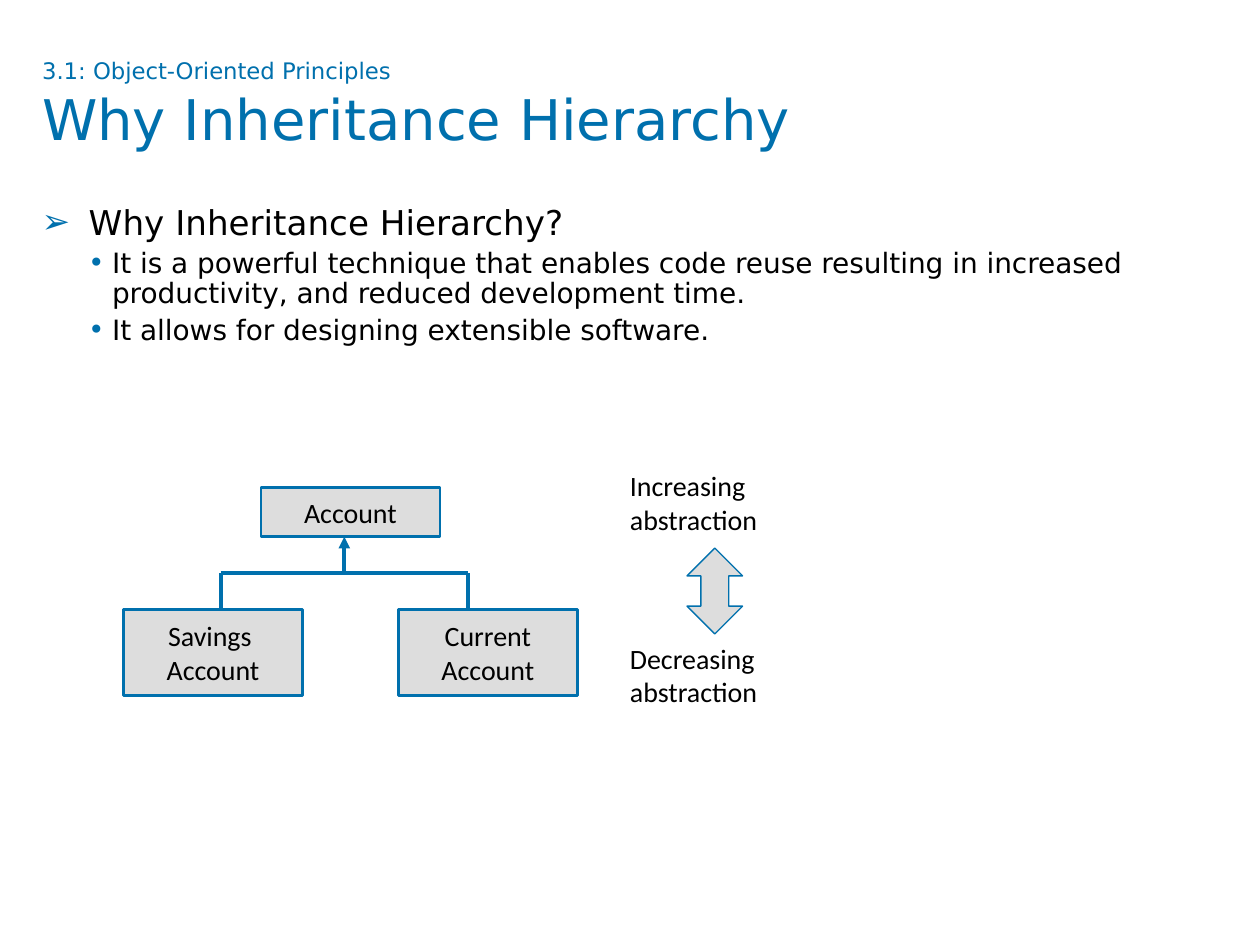
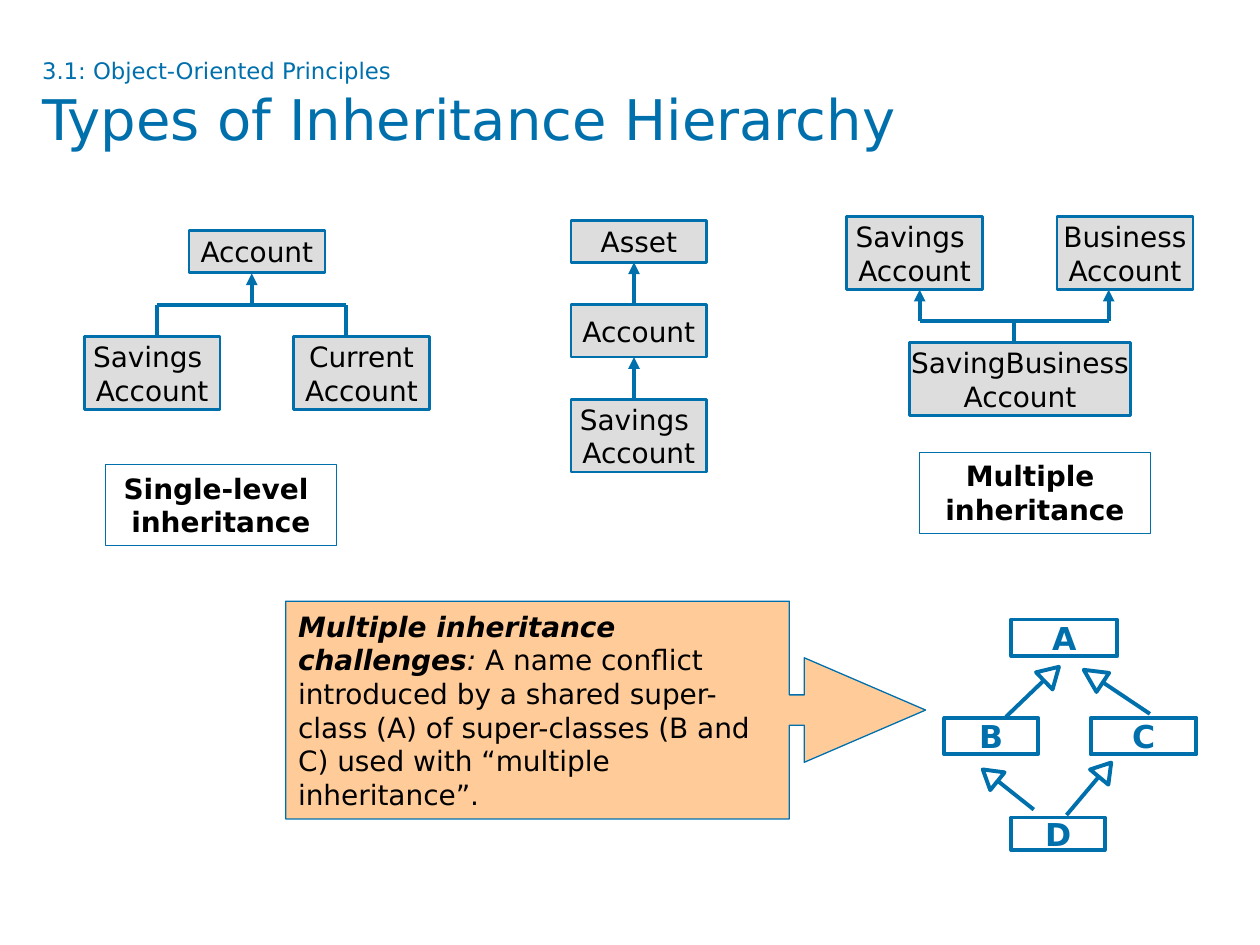
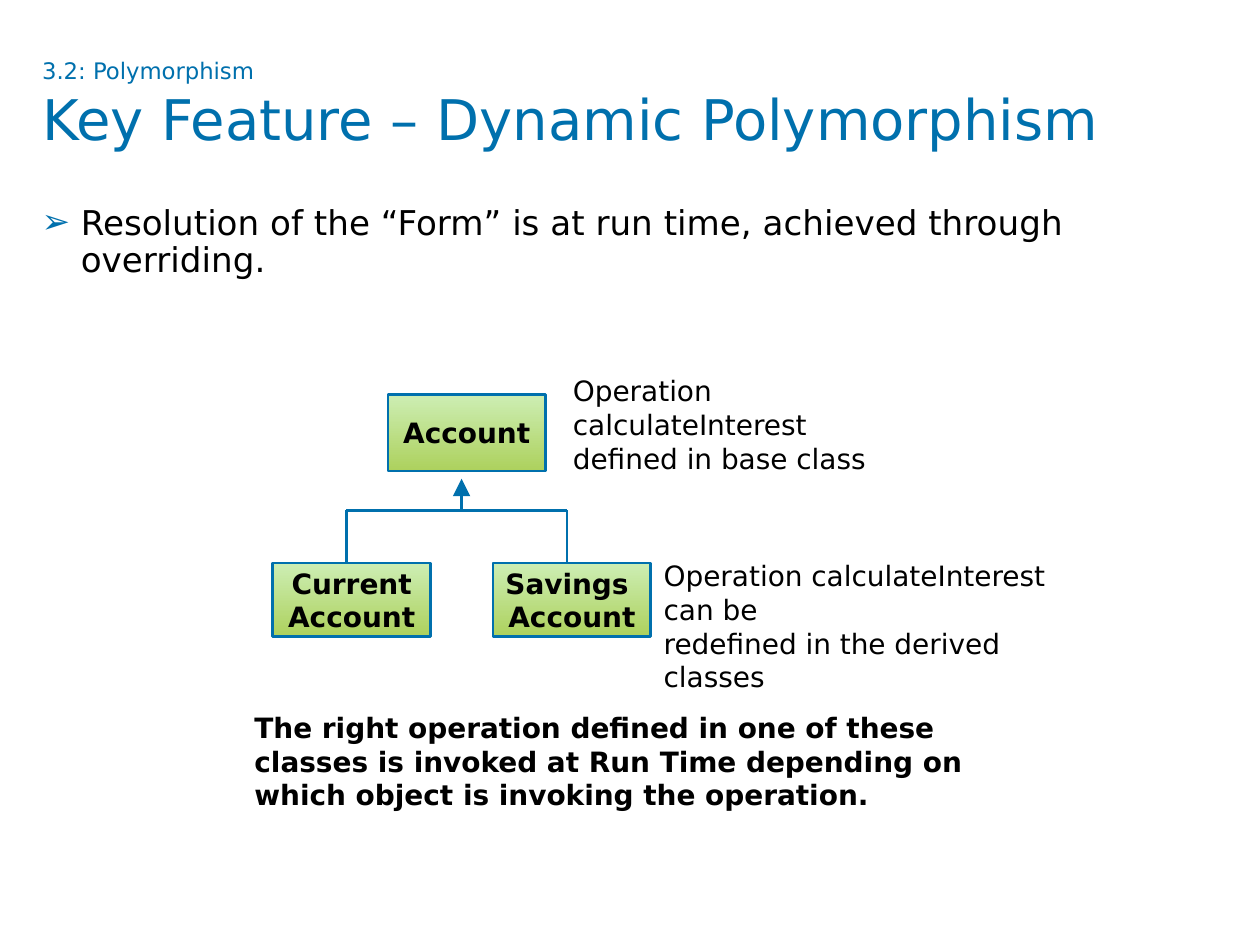
from dataclasses import dataclass, replace

from lxml import etree
from pptx import Presentation
from pptx import util as u
from pptx.dml.color import RGBColor
from pptx.enum import shapes, text
from pptx.oxml import ns

BLUE = RGBColor(0x00, 0x70, 0xAD)
BLACK = RGBColor(0x00, 0x00, 0x00)
WHITE = RGBColor(0xFF, 0xFF, 0xFF)
GREY = RGBColor(0xDD, 0xDD, 0xDD)
PEACH = RGBColor(0xFF, 0xCC, 0x99)
GREENS = (RGBColor(0xCD, 0xEE, 0xB4), RGBColor(0xAD, 0xD1, 0x5D))
SANS = "DejaVu Sans"
SHAPE = shapes.MSO_SHAPE
LEFT = text.PP_ALIGN.LEFT
CENTER = text.PP_ALIGN.CENTER
MIDDLE = text.MSO_ANCHOR.MIDDLE


@dataclass(frozen=True)
class Style:
    fill: object = None
    line: float = 1.5
    font: str = SANS
    size: float = 16
    color: RGBColor = BLACK
    bold: bool = False
    align: object = CENTER
    anchor: object = MIDDLE
    wrap: bool = False
    insets: tuple = (0.25, 0.13)
    grow: bool = False


CLASS_BOX = Style(fill=GREY)
CALIBRI_BOX = replace(CLASS_BOX, font="Calibri")
GREEN_BOX = Style(fill=GREENS, bold=True, wrap=True, insets=(0, 0))
CAPTION = Style(line=0.75, bold=True, anchor=text.MSO_ANCHOR.TOP, wrap=True, grow=True)
LETTER = Style(line=2.25, size=18, color=BLUE, bold=True, wrap=True, insets=(0.18, 0.08))
NOTE = Style(align=LEFT, anchor=text.MSO_ANCHOR.TOP, wrap=True, grow=True)
CALLOUT = Style(fill=PEACH, line=0.75, align=LEFT, wrap=True)


def cm(*values):
    return [u.Cm(v) for v in values]


def sub(parent, tag, **attrs):
    return etree.SubElement(parent, ns.qn(tag), attrs)


def set_text(sp, content, style):
    tf = sp.text_frame
    tf.text = content
    tf.word_wrap = style.wrap
    tf.vertical_anchor = style.anchor
    tf.margin_left = tf.margin_right = u.Cm(style.insets[0])
    tf.margin_top = tf.margin_bottom = u.Cm(style.insets[1])
    if style.grow:
        tf.auto_size = text.MSO_AUTO_SIZE.SHAPE_TO_FIT_TEXT
    for p in tf.paragraphs:
        p.alignment = style.align
        for r in p.runs:
            r.font.name = style.font
            r.font.size = u.Pt(style.size)
            r.font.bold = style.bold
            r.font.color.rgb = style.color
    return tf


def add_box(tree, box, content, style, kind=SHAPE.RECTANGLE, adjust=()):
    sp = tree.add_shape(kind, *cm(*box))
    sp.shadow.inherit = False
    for i, value in enumerate(adjust):
        sp.adjustments[i] = value
    if style.fill is None:
        sp.fill.background()
    elif style.fill is GREENS:
        sp.fill.gradient()
        sp.fill.gradient_angle = 270
        for stop, color in zip(sp.fill.gradient_stops, GREENS):
            stop.color.rgb = color
    else:
        sp.fill.solid()
        sp.fill.fore_color.rgb = style.fill
    sp.line.color.rgb = BLUE
    sp.line.width = u.Pt(style.line)
    if content:
        set_text(sp, content, style)
    return sp


def add_note(tree, box, content, style=NOTE):
    return set_text(tree.add_textbox(*cm(*box)), content, style)


def add_line(tree, x1, y1, x2, y2, width=2.25, head=None):
    c = tree.add_connector(shapes.MSO_CONNECTOR.STRAIGHT, *cm(x1, y1, x2, y2))
    c.line.color.rgb = BLUE
    c.line.width = u.Pt(width)
    if head:
        sub(c.line._get_or_add_ln(), "a:tailEnd", type="triangle", w=head, len=head)
    sub(c._element.spPr, "a:effectLst")


def add_title(s, section, title):
    style = replace(NOTE, size=32, color=BLUE, insets=(0, 0), grow=False)
    tf = add_note(s.shapes, (0.85, 1.15, 23.7, 2.39), f"{section}\v{title}", style)
    p = tf.paragraphs[0]
    p.runs[0].font.size = u.Pt(13)
    sub(p._p.find(ns.qn("a:br")), "a:rPr", sz="1400")


def add_body(s, items, indent):
    content = "\n".join(item for _, item in items)
    style = replace(NOTE, size=19.5, insets=(0, 0), grow=False)
    tf = add_note(s.shapes, (0.84, 4.15, 23.72, 12.9), content, style)
    levels = [("➢", indent, indent, 19.5, 7.5), ("•", 1.42, 0.48, 16, 3.8)]
    for p, (level, _) in zip(tf.paragraphs, items):
        bullet, margin, hang, size, before = levels[level]
        p.level = level
        p.line_spacing = 0.9
        p.space_before = u.Pt(before)
        p.runs[0].font.size = u.Pt(size)
        pPr = p._p.get_or_add_pPr()
        pPr.set("marL", str(u.Cm(margin)))
        pPr.set("indent", str(-u.Cm(hang)))
        sub(sub(pPr, "a:buClr"), "a:srgbClr", val=str(BLUE))
        sub(pPr, "a:buFont", typeface=SANS)
        sub(pPr, "a:buChar", char=bullet)


def add_tree(s, box, names, style, node_w, parent_h, child_h, bar, tip, stem, span,
             width=2.25, shift=0, head="med"):
    x, y, w, h = box
    g = s.shapes.add_group_shape().shapes
    parent, *children = names
    add_box(g, (x + (w - node_w) / 2 + shift, y, node_w, parent_h), parent, style)
    lefts = (x, x + w - node_w)
    first, last = stems = (x + stem, x + stem + span)
    for left, stem_x, child in zip(lefts, stems, children):
        add_box(g, (left, y + h - child_h, node_w, child_h), child, style)
        add_line(g, stem_x, y + bar, stem_x, y + h - child_h, width)
    middle = (first + last) / 2 + shift
    add_line(g, first, y + bar, last, y + bar, width)
    add_line(g, middle, y + bar, middle, y + tip, width, head)


def add_abstraction_scale(s, x, y):
    g = s.shapes.add_group_shape().shapes
    style = replace(NOTE, font="Calibri")
    add_note(g, (x, y, 4.24, 1.9), "Increasing\nabstraction", style)
    add_box(g, (x + 1.4, y + 1.73, 1.12, 1.73), "", replace(CLASS_BOX, line=0.75),
            SHAPE.UP_DOWN_ARROW, (0.35, 0.5))
    add_note(g, (x, y + 3.48, 4.24, 1.9), "Decreasing\nabstraction", style)


def add_chain(s, x, y):
    g = s.shapes.add_group_shape().shapes
    nodes = [("Asset", 0.84), ("Account", 1.06), ("Savings \nAccount", 1.47)]
    gap, stem = 0.85, 1.27
    top = y
    for i, (name, h) in enumerate(nodes):
        add_box(g, (x, top, 2.74, h), name, CLASS_BOX)
        if i:
            add_line(g, x + stem, top, x + stem, top - gap, head="med")
        top += h + gap


def add_join(s, x, y):
    g = s.shapes.add_group_shape().shapes
    bar, node_h = y + 2.11, 1.47
    first, last = stems = (x + 1.47, x + 5.28)
    names = ("Savings \nAccount", "Business\nAccount")
    for left, stem_x, name in zip((x, x + 4.24), stems, names):
        add_box(g, (left, y, 2.74, node_h), name, CLASS_BOX)
        add_line(g, stem_x, bar, stem_x, y + node_h, head="med")
    add_line(g, first, bar, last, bar)
    middle = (first + last) / 2
    add_line(g, middle, y + 2.54, middle, bar)
    add_box(g, (x + 1.27, y + 2.54, 4.45, node_h), "SavingBusiness\nAccount", CLASS_BOX)


def add_challenge(s, box):
    lead = "Multiple inheritance challenges"
    rest = (" A name conflict introduced by a shared super-class (A) of super-classes "
            "(B and C) used with “multiple inheritance”.")
    sp = add_box(s.shapes, box, lead, CALLOUT, SHAPE.RIGHT_ARROW_CALLOUT,
                 (0.139, 0.24, 0.557, 0.787))
    p = sp.text_frame.paragraphs[0]
    for part in (":", rest):
        p.add_run().text = part
    for r, bold, italic in zip(p.runs, (True, False, False), (True, True, False)):
        r.font.name = SANS
        r.font.size = u.Pt(16)
        r.font.color.rgb = BLACK
        r.font.bold = bold
        r.font.italic = italic


def add_diamond(s, x, y):
    nodes = [("A", 1.35, 0, 2.13, 0.74), ("B", 0, 1.98, 1.88, 0.74),
             ("C", 2.95, 1.98, 2.13, 0.74), ("D", 1.35, 3.99, 1.88, 0.66)]
    for name, dx, dy, w, h in nodes:
        add_box(s.shapes, (x + dx, y + dy, w, h), name, LETTER)
    arrows = [((1.24, 1.96, 2.01, 1.22), (1.92, 0.89, 0.48, 0.41), 46.1),
              ((4.14, 1.9, 3.2, 1.27), (2.77, 0.91, 0.46, 0.46), 303.5),
              ((1.8, 3.83, 1.07, 3.25), (0.69, 2.95, 0.46, 0.38), 308.9),
              ((2.46, 3.94, 3.1, 3.18), (3.0, 2.84, 0.48, 0.38), 39.6)]
    head_style = Style(fill=WHITE, line=2.25)
    for (x1, y1, x2, y2), (dx, dy, w, h), angle in arrows:
        add_line(s.shapes, x + x1, y + y1, x + x2, y + y2)
        head = add_box(s.shapes, (x + dx, y + dy, w, h), "", head_style,
                       SHAPE.ISOSCELES_TRIANGLE)
        head.rotation = angle


def build_why(s):
    add_title(s, "3.1: Object-Oriented Principles", "Why Inheritance Hierarchy")
    add_body(s, [
        (0, "Why Inheritance Hierarchy?"),
        (1, "It is a powerful technique that enables code reuse resulting in "
            "increased productivity, and reduced development time."),
        (1, "It allows for designing extensible software."),
    ], indent=0.95)
    add_tree(s, (2.49, 9.83, 9.15, 4.19),
             ("Account", "Savings \nAccount", "Current\nAccount"), CALIBRI_BOX,
             node_w=3.61, parent_h=0.99, child_h=1.73, bar=1.73, tip=0.99,
             stem=1.96, span=4.98)
    add_abstraction_scale(s, 12.45, 9.32)


def build_types(s):
    add_title(s, "3.1: Object-Oriented Principles", "Types of Inheritance Hierarchy")
    add_tree(s, (1.7, 4.65, 6.96, 3.61),
             ("Account", "Savings \nAccount", "Current\nAccount"), CLASS_BOX,
             node_w=2.74, parent_h=0.84, child_h=1.47, bar=1.5, tip=0.86,
             stem=1.47, span=3.81)
    add_chain(s, 11.51, 4.45)
    add_join(s, 17.07, 4.37)
    add_box(s.shapes, (2.13, 9.37, 4.65, 1.63), "Single-level \ninheritance", CAPTION)
    add_box(s.shapes, (18.54, 9.12, 4.65, 1.63), "Multiple \ninheritance", CAPTION)
    add_challenge(s, (5.76, 12.12, 12.9, 4.39))
    add_diamond(s, 19.04, 12.49)


def build_polymorphism(s):
    add_title(s, "3.2: Polymorphism", "Key Feature – Dynamic Polymorphism")
    add_body(s, [(0, "Resolution of the “Form” is at run time, achieved through "
                     "overriding.")], indent=0.79)
    add_tree(s, (5.5, 7.95, 7.62, 4.88),
             ("Account", "Current Account", "Savings \nAccount"), GREEN_BOX,
             node_w=3.18, parent_h=1.55, child_h=1.48, bar=2.34, tip=1.7,
             stem=1.48, span=4.45, width=1.5, shift=0.1, head="lg")
    add_note(s.shapes, (11.3, 7.41, 7.32, 1.63),
             "Operation calculateInterest\ndefined in base class")
    add_note(s.shapes, (13.13, 11.14, 9.19, 1.63),
             "Operation calculateInterest can be\nredefined in the derived classes")
    add_note(s.shapes, (4.88, 14.2, 15.67, 2.31),
             "The right operation defined in one of these classes is invoked at Run Time "
             "depending on which object is invoking the operation.",
             replace(NOTE, bold=True))


def main():
    prs = Presentation()
    prs.slide_width, prs.slide_height = cm(25.4, 19.05)
    for build in (build_why, build_types, build_polymorphism):
        build(prs.slides.add_slide(prs.slide_layouts[6]))
    prs.save("out.pptx")


if __name__ == "__main__":
    main()
